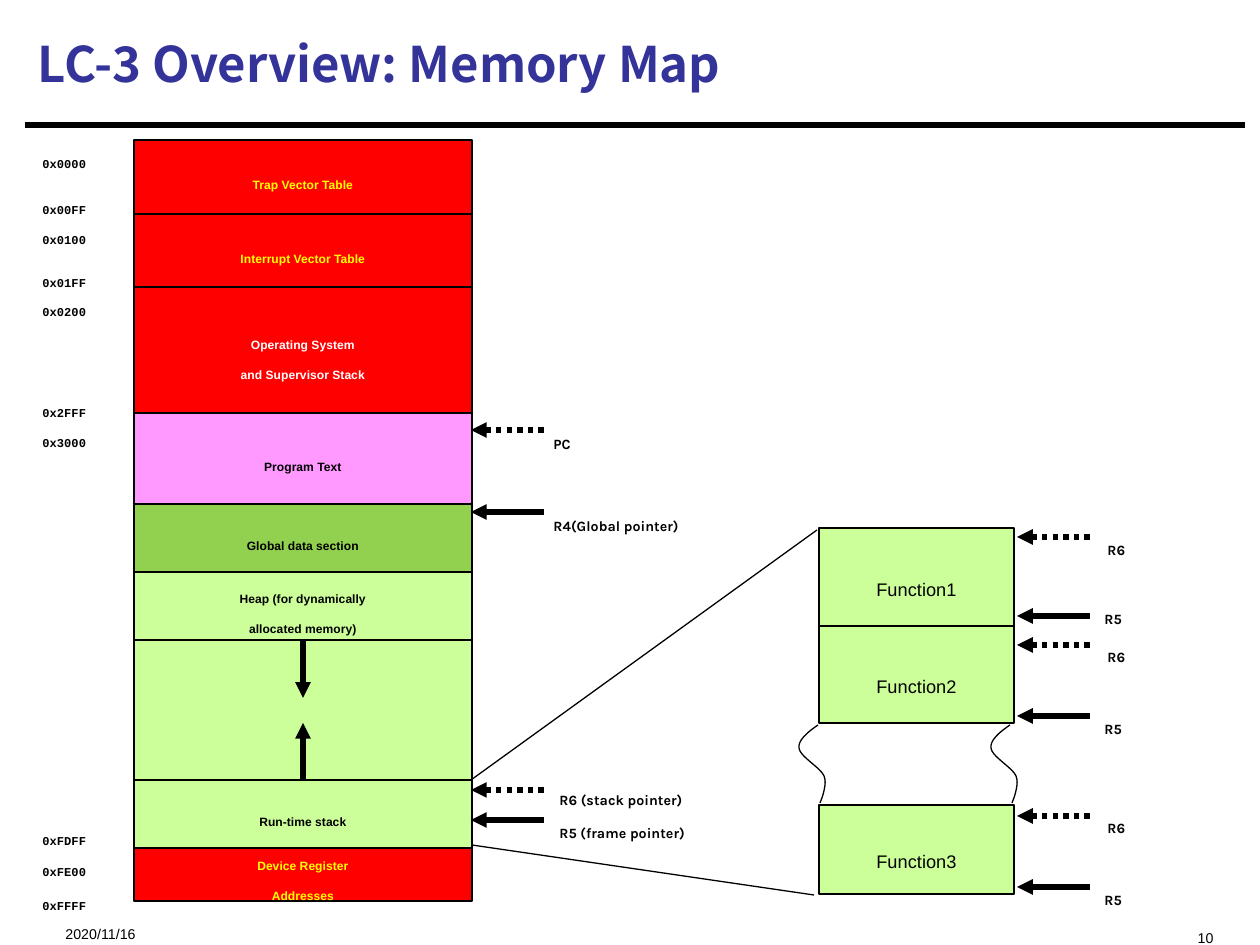
"""Build the LC-3 memory map slide."""
import pptx
import pptx.util
import pptx.dml.color
import pptx.enum.dml
import pptx.enum.shapes
import pptx.enum.text
import pptx.oxml
import pptx.oxml.ns

EMU_PER_PX = 914400 / 126
ALIGN = pptx.enum.text.PP_ALIGN
ANCHOR = pptx.enum.text.MSO_ANCHOR
BLACK, WHITE, YELLOW = "000000", "FFFFFF", "FFFF00"
RED, PINK, GREEN, LIME = "FF0000", "FF99FF", "92D050", "CCFF99"
SUBSCRIPT = "-33000"

TITLE = "LC-3 Overview: Memory Map"
MAP_LEFT, MAP_WIDTH = 134, 338
REGIONS = [
    ("", 634, 146, LIME, BLACK),
    ("Device Register\nAddresses", 844, 57, RED, YELLOW),
    ("Trap Vector Table", 140, 74, RED, YELLOW),
    ("Interrupt Vector Table", 214, 74, RED, YELLOW),
    ("Operating System\nand Supervisor Stack", 287, 130, RED, WHITE),
    ("Run-time stack", 780, 68, LIME, BLACK),
    ("Program Text", 413, 91, PINK, BLACK),
    ("Global data section", 504, 68, GREEN, BLACK),
    ("Heap (for dynamically\nallocated memory)", 572, 68, LIME, BLACK),
]
ADDRESSES = [
    ("0x0000", 134), ("0x00FF", 180), ("0x0100", 210), ("0x01FF", 253),
    ("0x0200", 282), ("0x2FFF", 383), ("0x3000", 413), ("0xFDFF", 811),
    ("0xFE00", 842), ("0xFFFF", 876),
]
FUNCTIONS = [("Function1", 528, 98), ("Function2", 626, 97), ("Function3", 805, 89)]
MAP_POINTERS = [
    ("PC", 430, True, 541, 411),
    ("R4(Global pointer)", 512, False, 541, 493),
    ("R6 (stack pointer)", 790, True, 547, 767),
    ("R5 (frame pointer)", 820, False, 547, 800),
]
FRAME_POINTERS = [
    ("R6", 537, True, 1095, 517), ("R5", 616, False, 1092, 586),
    ("R6", 645, True, 1095, 624), ("R5", 716, False, 1092, 696),
    ("R6", 816, True, 1095, 795), ("R5", 887, False, 1092, 867),
]
POINTER_GROUPS = [(471, 218, MAP_POINTERS), (1017, 62, FRAME_POINTERS)]
POINTER_LENGTH = 73
ZOOM_LINES = [(471, 780, 817, 530), (472, 845, 814, 895)]
BREAK_CURVE = [
    [(818, 725), (808, 732), (798, 740), (799, 748)],
    [(799, 748), (800, 757), (820, 767), (824, 776)],
    [(824, 776), (828, 785), (820, 803), (820, 803)],
]
BREAK_OFFSETS = [0, 192]
CURVE_STEPS = 10


def px(n):
    return pptx.util.Emu(round(n * EMU_PER_PX))


def color(hex_string):
    return pptx.dml.color.RGBColor.from_string(hex_string)


def write(sp, text, size, font, ink=BLACK, bold=False, align=ALIGN.LEFT,
          anchor=ANCHOR.TOP, baseline=SUBSCRIPT):
    tf = sp.text_frame
    tf.text = text
    tf.word_wrap = True
    tf.vertical_anchor = anchor
    for p in tf.paragraphs:
        p.alignment = align
        for r in p.runs:
            r.font.size = pptx.util.Pt(size)
            r.font.name = font
            r.font.bold = bold
            r.font.color.rgb = color(ink)
            if baseline:
                r.font._element.set("baseline", baseline)


def add_label(slide, box, text, size, font, **style):
    write(slide.shapes.add_textbox(*map(px, box)), text, size, font, **style)


def add_box(slide, box, fill, text, size, **style):
    sp = slide.shapes.add_shape(pptx.enum.shapes.MSO_SHAPE.RECTANGLE, *map(px, box))
    sp.shadow.inherit = False
    sp.fill.solid()
    sp.fill.fore_color.rgb = color(fill)
    sp.line.color.rgb = color(BLACK)
    sp.line.width = pptx.util.Pt(0.75)
    if text:
        write(sp, text, size, "Arial", align=ALIGN.CENTER, anchor=ANCHOR.MIDDLE, **style)
    return sp


def add_line(slide, points, width, arrow=None, dotted=False):
    c = slide.shapes.add_connector(
        pptx.enum.shapes.MSO_CONNECTOR.STRAIGHT, *map(px, points))
    c.line.color.rgb = color(BLACK)
    c.line.width = pptx.util.Pt(width)
    if dotted:
        c.line.dash_style = pptx.enum.dml.MSO_LINE.ROUND_DOT
    if arrow:
        end = pptx.oxml.parse_xml(
            f'<a:{arrow} {pptx.oxml.ns.nsdecls("a")} type="triangle"/>')
        c.line._get_or_add_ln().append(end)
    c._element.spPr.append(pptx.oxml.parse_xml(
        f'<a:effectLst {pptx.oxml.ns.nsdecls("a")}/>'))
    return c


def bezier(points, t):
    weights = ((1 - t) ** 3, 3 * t * (1 - t) ** 2, 3 * t * t * (1 - t), t ** 3)
    return [sum(w * point[axis] for w, point in zip(weights, points)) for axis in (0, 1)]


def add_break(slide, offset):
    points = [bezier(segment, i / CURVE_STEPS)
              for segment in BREAK_CURVE for i in range(1, CURVE_STEPS + 1)]
    x, y = BREAK_CURVE[0][0]
    builder = slide.shapes.build_freeform(px(x + offset), px(y))
    builder.add_line_segments([(px(x + offset), px(y)) for x, y in points], close=False)
    sp = builder.convert_to_shape()
    sp.shadow.inherit = False
    sp.fill.background()
    sp.line.color.rgb = color(BLACK)
    sp.line.width = pptx.util.Pt(0.75)


def main():
    prs = pptx.Presentation()
    prs.slide_width, prs.slide_height = px(1260), px(945)
    slide = prs.slides.add_slide(prs.slide_layouts[5])

    title = slide.shapes.title
    title.left, title.top, title.width, title.height = map(px, (25, 10, 1218, 106))
    write(title, TITLE, 28, "Noto Sans CJK SC", ink="333399", bold=True,
          anchor=ANCHOR.MIDDLE, baseline=None)
    add_line(slide, (25, 125, 1245, 125), 3.75)
    add_label(slide, (53, 901, 315, 34), "2020/11/16", 14, "Arial")
    add_label(slide, (848, 905, 378, 34), "10", 14, "Arial", align=ALIGN.RIGHT)

    regions = [
        add_box(slide, (MAP_LEFT, top, MAP_WIDTH, height), fill, text, 12, ink=ink, bold=True)
        for text, top, height, fill, ink in REGIONS]
    for text, top in ADDRESSES:
        add_label(slide, (30, top, 102, 38), text, 12, "Courier New", bold=True)

    middle = MAP_LEFT + MAP_WIDTH // 2
    free, heap = regions[0], regions[-1]
    for sp, start, end in [(heap, 640, 698), (free, 780, 723)]:
        c = add_line(slide, (middle, start, middle, end), 3, "tailEnd")
        c.begin_connect(sp, 2)

    for text, top, height in FUNCTIONS:
        add_box(slide, (819, top, 195, height), LIME, text, 18)
    for offset in BREAK_OFFSETS:
        add_break(slide, offset)

    for left, width, pointers in POINTER_GROUPS:
        for text, y, dotted, label_left, label_top in pointers:
            add_line(slide, (left, y, left + POINTER_LENGTH, y), 3, "headEnd", dotted)
            add_label(slide, (label_left, label_top, width, 43), text, 14, "Karla", bold=True)

    for points in ZOOM_LINES:
        add_line(slide, points, 0.75)
    prs.save("out.pptx")


if __name__ == "__main__":
    main()
